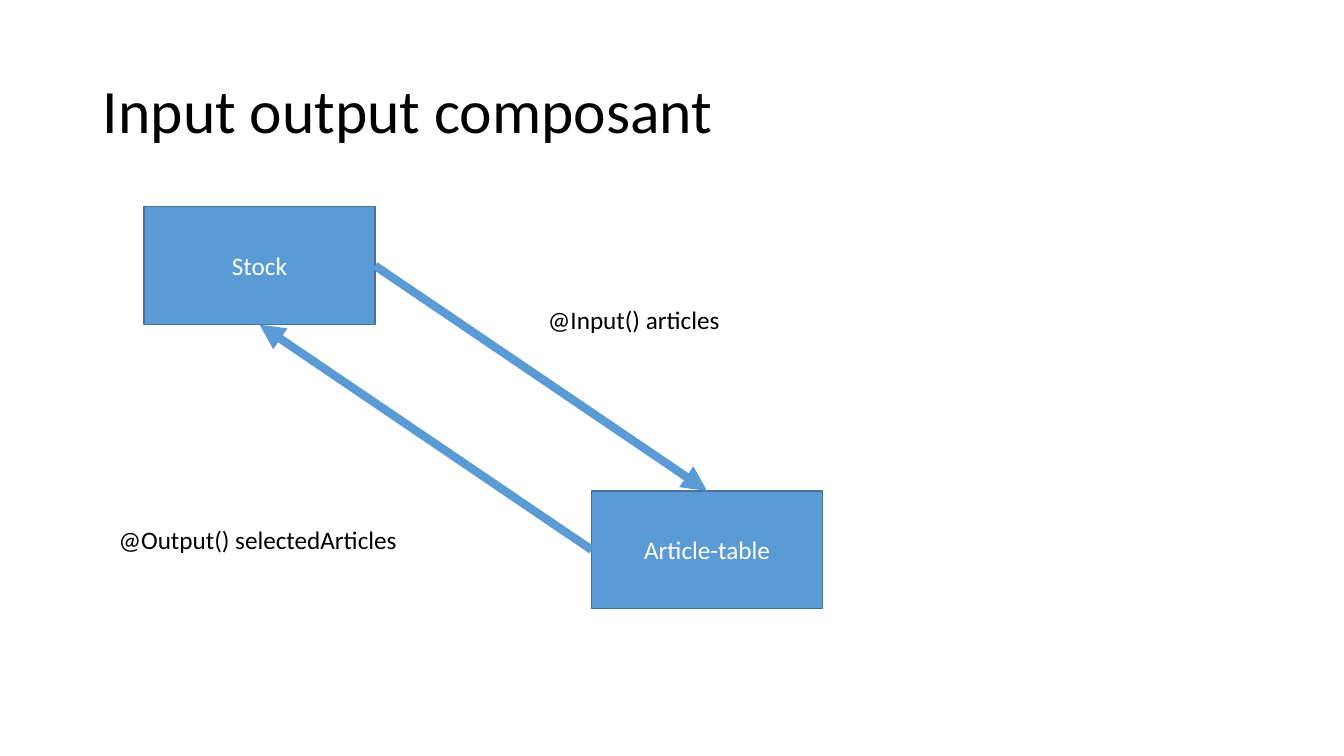
import pptx
import pptx.dml.color
import pptx.enum.shapes
import pptx.enum.text
import pptx.oxml
import pptx.oxml.ns
import pptx.util
from dataclasses import dataclass

Cm = pptx.util.Cm
Pt = pptx.util.Pt
RGBColor = pptx.dml.color.RGBColor
Align = pptx.enum.text.PP_ALIGN
Anchor = pptx.enum.text.MSO_ANCHOR


@dataclass(frozen=True)
class Theme:
    font: str = "Calibri"
    title_size: int = 44
    body_size: int = 18
    text: str = "000000"
    box_text: str = "FFFFFF"
    accent: str = "5B9BD5"
    outline: str = "43739E"


theme = Theme()


def write_text(shape, text, size, color, alignment, line_spacing=1.0):
    paragraph = shape.text_frame.paragraphs[0]
    paragraph.text = text
    paragraph.alignment = alignment
    paragraph.line_spacing = line_spacing
    font_format = {"name": theme.font, "size": Pt(size)}
    for name, value in font_format.items():
        setattr(paragraph.font, name, value)
    paragraph.font.color.rgb = RGBColor.from_string(color)


presentation = pptx.Presentation()
presentation.slide_width = Cm(33.87)
presentation.slide_height = Cm(19.05)
slide = presentation.slides.add_slide(presentation.slide_layouts[5])

# Title
title = slide.shapes.title
title_place = {"left": Cm(2.34), "top": Cm(1.02), "width": Cm(29.21), "height": Cm(3.68)}
for name, value in title_place.items():
    setattr(title, name, value)
title.text_frame.vertical_anchor = Anchor.MIDDLE
write_text(title, "Input output composant", theme.title_size, theme.text, Align.LEFT, 0.9)

# Components
components = {}
for name, left, top in [("Stock", 3.63, 5.21), ("Article-table", 14.91, 12.37)]:
    box = slide.shapes.add_shape(
        pptx.enum.shapes.MSO_SHAPE.RECTANGLE, Cm(left), Cm(top), Cm(5.82), Cm(2.97))
    box.shadow.inherit = False
    box.fill.solid()
    box.fill.fore_color.rgb = RGBColor.from_string(theme.accent)
    box.line.color.rgb = RGBColor.from_string(theme.outline)
    box.line.width = Pt(1)
    box.text_frame.vertical_anchor = Anchor.MIDDLE
    write_text(box, name, theme.body_size, theme.box_text, Align.CENTER)
    components[name] = box

# Arrows: connection sites of a rectangle count from the top, anticlockwise
TOP, LEFT, BOTTOM, RIGHT = range(4)
arrows = [
    ("Stock", RIGHT, "Article-table", TOP),
    ("Article-table", LEFT, "Stock", BOTTOM),
]
for source, source_site, target, target_site in arrows:
    arrow = slide.shapes.add_connector(
        pptx.enum.shapes.MSO_CONNECTOR.STRAIGHT, 0, 0, 0, 0)
    arrow.begin_connect(components[source], source_site)
    arrow.end_connect(components[target], target_site)
    arrow.line.color.rgb = RGBColor.from_string(theme.accent)
    arrow.line.width = Pt(6)
    line_element = arrow.line._get_or_add_ln()
    line_element.append(pptx.oxml.parse_xml(
        f'<a:tailEnd {pptx.oxml.ns.nsdecls("a")} type="triangle"/>'))
    arrow._element.spPr.append(pptx.oxml.parse_xml(
        f'<a:effectLst {pptx.oxml.ns.nsdecls("a")}/>'))

# Arrow labels
labels = [
    ("@Input() articles", 13.56, 7.54, 4.9),
    ("@Output() selectedArticles", 2.74, 13.08, 7.62),
]
for text, left, top, width in labels:
    label = slide.shapes.add_textbox(Cm(left), Cm(top), Cm(width), Cm(1.02))
    label.text_frame.word_wrap = False
    label.text_frame.auto_size = pptx.enum.text.MSO_AUTO_SIZE.SHAPE_TO_FIT_TEXT
    write_text(label, text, theme.body_size, theme.text, Align.LEFT)

presentation.save("out.pptx")
